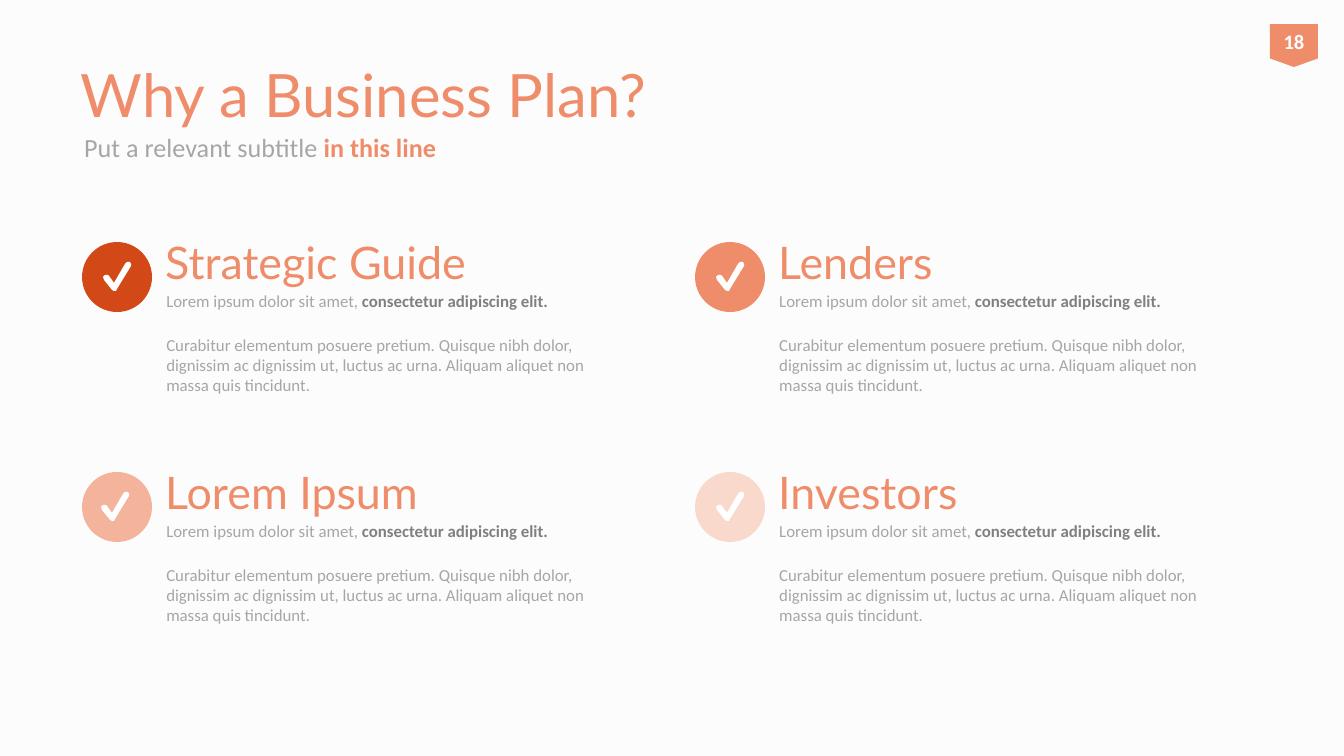
"""Build the slide giving four reasons for a business plan."""
from dataclasses import dataclass

from pptx import Presentation
from pptx.dml.color import RGBColor
from pptx.enum import shapes, text
from pptx.util import Emu, Pt

SCALE = 914400 / 134.4
CORAL = RGBColor(0xEF, 0x8C, 0x6A)
RUST = RGBColor(0xD3, 0x48, 0x17)
PEACH = RGBColor(0xF4, 0xB3, 0x9B)
BLUSH = RGBColor(0xFA, 0xD9, 0xCD)
LIGHT_GREY = RGBColor(0xA6, 0xA6, 0xA6)
DARK_GREY = RGBColor(0x80, 0x80, 0x80)
WHITE = RGBColor(0xFF, 0xFF, 0xFF)
PAPER = RGBColor(0xFC, 0xFC, 0xFC)

LEFT, TOP = 82, 242
COLUMN_STEP, ROW_STEP = 613, 230
CIRCLE_SIZE = 70
CHECK_POINTS = [
    (11, 29), (9, 28), (1, 18), (0, 15), (2, 13), (5, 13), (6, 14), (11, 21),
    (22, 2), (24, 0), (27, 0), (28, 2), (28, 4), (14, 27), (13, 29),
]
LEAD = "Lorem ipsum dolor sit amet, "
EMPHASIS = "consectetur adipiscing elit."
DETAIL = (
    "Curabitur elementum posuere pretium. Quisque nibh dolor, dignissim ac "
    "dignissim ut, luctus ac urna. Aliquam aliquet non massa quis tincidunt."
)


@dataclass(frozen=True)
class Reason:
    """A headed text with a check mark, placed in the grid."""
    heading: str
    column: int
    row: int
    color: RGBColor
    check_inset: int = 21


REASONS = [
    Reason("Strategic Guide", 0, 0, RUST),
    Reason("Lenders", 1, 0, CORAL),
    Reason("Lorem Ipsum", 0, 1, PEACH, check_inset=19),
    Reason("Investors", 1, 1, BLUSH),
]


def px(length: int) -> Emu:
    """Turn pixels into EMU."""
    return Emu(round(length * SCALE))


def add_span(para, content: str, *, size: int, color: RGBColor,
             font: str = "Calibri", bold: bool = False) -> None:
    """Append formatted text to a paragraph."""
    span = para.add_run()
    span.text = content
    span.font.size = Pt(size)
    span.font.color.rgb = color
    span.font.name = font
    span.font.bold = bold


def add_box(page, left: int, top: int, width: int, height: int,
            anchor=text.MSO_ANCHOR.MIDDLE):
    """Add a wrapping text box and return its text frame."""
    box = page.shapes.add_textbox(px(left), px(top), px(width), px(height))
    frame = box.text_frame
    frame.word_wrap = True
    frame.vertical_anchor = anchor
    return frame


def paint(shape, color: RGBColor) -> None:
    """Give a shape a plain fill without line or shadow."""
    shape.shadow.inherit = False
    shape.fill.solid()
    shape.fill.fore_color.rgb = color
    shape.line.fill.background()


def add_check(page, left: int, top: int) -> None:
    """Draw a white check mark."""
    points = [(left + x, top + y) for x, y in CHECK_POINTS]
    builder = page.shapes.build_freeform(*points[0], scale=SCALE)
    builder.add_line_segments(points[1:], close=True)
    paint(builder.convert_to_shape(), WHITE)


def add_reason(page, reason: Reason) -> None:
    """Draw one reason in its grid cell."""
    left = LEFT + reason.column * COLUMN_STEP
    top = TOP + reason.row * ROW_STEP
    body = add_box(page, left + 71, top + 42, 446, 117, text.MSO_ANCHOR.TOP)
    summary = body.paragraphs[0]
    add_span(summary, LEAD, size=9, color=LIGHT_GREY)
    add_span(summary, EMPHASIS, size=9, color=DARK_GREY, bold=True)
    detail = body.add_paragraph()
    detail.space_before = Pt(12.6)
    add_span(detail, DETAIL, size=9, color=LIGHT_GREY)

    heading = add_box(page, left + 70, top - 19, 423, 78)
    add_span(heading.paragraphs[0], reason.heading, size=24, color=CORAL, font="Lato")
    circle = page.shapes.add_shape(
        shapes.MSO_SHAPE.OVAL, px(left), px(top), px(CIRCLE_SIZE), px(CIRCLE_SIZE))
    paint(circle, reason.color)
    add_check(page, left + reason.check_inset, top + 20)


def add_header(page) -> None:
    """Fill the title placeholder and add the subtitle."""
    title = page.shapes.title
    title.left, title.top, title.width, title.height = map(px, (67, 31, 1210, 126))
    frame = title.text_frame
    frame.auto_size = text.MSO_AUTO_SIZE.NONE
    frame.vertical_anchor = text.MSO_ANCHOR.MIDDLE
    para = frame.paragraphs[0]
    para.alignment = text.PP_ALIGN.LEFT
    add_span(para, "Why a Business Plan?", size=32, color=CORAL, font="Lato")

    subtitle = add_box(page, 71, 120, 1210, 54).paragraphs[0]
    add_span(subtitle, "Put a relevant subtitle ", size=14, color=LIGHT_GREY)
    add_span(subtitle, "in this line", size=14, color=CORAL, bold=True)


def add_page_number(page) -> None:
    """Draw the page number on its tag."""
    tag = page.shapes.add_shape(
        shapes.MSO_SHAPE.FLOWCHART_OFFPAGE_CONNECTOR, px(1270), px(24), px(48), px(43))
    paint(tag, CORAL)
    frame = tag.text_frame
    frame.margin_left = frame.margin_right = frame.margin_top = frame.margin_bottom = 0
    frame.vertical_anchor = text.MSO_ANCHOR.MIDDLE
    para = frame.paragraphs[0]
    para.alignment = text.PP_ALIGN.CENTER
    add_span(para, "18", size=11, color=WHITE, bold=True)


def main() -> None:
    """Build and save the deck."""
    deck = Presentation()
    deck.slide_width, deck.slide_height = px(1344), px(756)
    page = deck.slides.add_slide(deck.slide_layouts.get_by_name("Title Only"))
    page.background.fill.solid()
    page.background.fill.fore_color.rgb = PAPER
    add_header(page)
    for reason in REASONS:
        add_reason(page, reason)
    add_page_number(page)
    deck.save("out.pptx")


if __name__ == "__main__":
    main()
